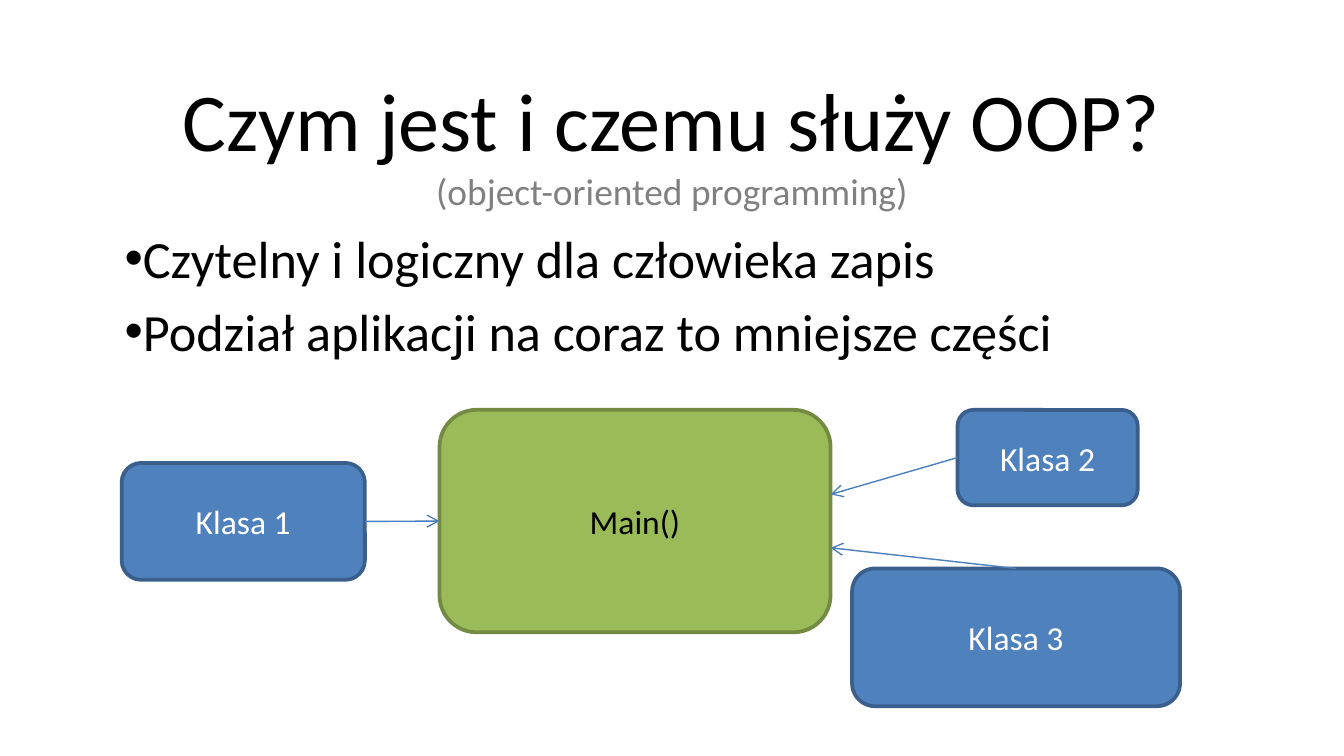
from pptx import Presentation
from pptx.dml.color import RGBColor
from pptx.enum.shapes import MSO_CONNECTOR as Link, MSO_SHAPE as Kind
from pptx.enum.text import MSO_ANCHOR as Anchor, MSO_AUTO_SIZE as Fit, PP_ALIGN as Align
from pptx.oxml.ns import qn
from pptx.util import Emu, Pt
from lxml.etree import SubElement

PX = 4572  # 200 px to the inch
SIZE = (2000, 1125)

TITLE = [("Czym jest i czemu służy OOP?", "title"),
         ("(object-oriented programming)", "sub")]
POINTS = ["Czytelny i logiczny dla człowieka zapis",
          "Podział aplikacji na coraz to mniejsze części"]
# name: (left, top, width, height), look
BOXES = {
    "Klasa 1": ((181, 689, 362, 174), "class"),
    "Klasa 2": ((1425, 610, 268, 142), "class"),
    "Klasa 3": ((1268, 846, 488, 205), "class"),
    "Main()": ((654, 610, 582, 331), "main"),
}
# Each end: box name, then share of its width and height
ARROWS = [
    (("Klasa 1", 1, 0.5), ("Main()", 0, 0.5)),
    (("Klasa 2", 0, 0.5), ("Main()", 1, 0.38)),
    (("Klasa 3", 0.5, 0), ("Main()", 1, 0.62)),
]
THEME = {
    "font": "Calibri",
    "text": {"title": (44, "000000"), "sub": (20, "808080"),
             "point": (28, "000000"), "class": (18, "FFFFFF"),
             "main": (18, "000000")},
    "box": {"class": ("4F81BD", "3A5F8C"), "main": ("9BBB59", "738A42")},
    "edge": 2,
    "arrow": ("4B7EBC", 0.75),
}


def px(*nums):
    return [Emu(round(n * PX)) for n in nums]


def put(obj, **vals):
    for key, val in vals.items():
        setattr(obj, key, val)


def write(para, text, look):
    size, color = THEME["text"][look]
    run = para.add_run()
    run.text = text
    put(run.font, name=THEME["font"], size=Pt(size))
    run.font.color.rgb = RGBColor.from_string(color)


def stroke(line, color, width):
    line.color.rgb = RGBColor.from_string(color)
    line.width = Pt(width)


def add_title(slide):
    shape = slide.shapes.title
    left, top, width, height = px(150, 90, 1700, 241)
    put(shape, left=left, top=top, width=width, height=height)
    frame = shape.text_frame
    put(frame, word_wrap=True, auto_size=Fit.NONE, vertical_anchor=Anchor.MIDDLE)
    para = frame.paragraphs[0]
    para.alignment = Align.CENTER
    for i, (text, look) in enumerate(TITLE):
        if i:
            para.add_line_break()
        write(para, text, look)


def add_points(slide):
    frame = slide.shapes.add_textbox(*px(166, 327, 1574, 288)).text_frame
    frame.word_wrap = True
    for i, text in enumerate(POINTS):
        para = frame.add_paragraph() if i else frame.paragraphs[0]
        para.space_before = Pt(THEME["text"]["point"][0] * 0.2)
        props = para._p.get_or_add_pPr()
        SubElement(props, qn("a:buFont"), typeface="Arial")
        SubElement(props, qn("a:buChar"), char="•")
        write(para, text, "point")


def add_box(slide, name, place, look):
    shape = slide.shapes.add_shape(Kind.ROUNDED_RECTANGLE, *px(*place))
    shape.shadow.inherit = False
    fill, edge = THEME["box"][look]
    shape.fill.solid()
    shape.fill.fore_color.rgb = RGBColor.from_string(fill)
    stroke(shape.line, edge, THEME["edge"])
    frame = shape.text_frame
    put(frame, word_wrap=True, vertical_anchor=Anchor.MIDDLE)
    para = frame.paragraphs[0]
    para.alignment = Align.CENTER
    write(para, name, look)


def spot(name, across, down):
    """Point on a box at the given shares of its width and height."""
    left, top, width, height = BOXES[name][0]
    return px(left + across * width, top + down * height)


def add_arrow(slide, start, end):
    link = slide.shapes.add_connector(Link.STRAIGHT, *spot(*start), *spot(*end))
    stroke(link.line, *THEME["arrow"])
    SubElement(link.line._get_or_add_ln(), qn("a:tailEnd"), type="arrow")
    SubElement(link._element.spPr, qn("a:effectLst"))


def main():
    deck = Presentation()
    deck.slide_width, deck.slide_height = px(*SIZE)
    slide = deck.slides.add_slide(deck.slide_layouts[5])
    add_title(slide)
    add_points(slide)
    for name, (place, look) in BOXES.items():
        add_box(slide, name, place, look)
    for start, end in ARROWS:
        add_arrow(slide, start, end)
    deck.save("out.pptx")


if __name__ == "__main__":
    main()
